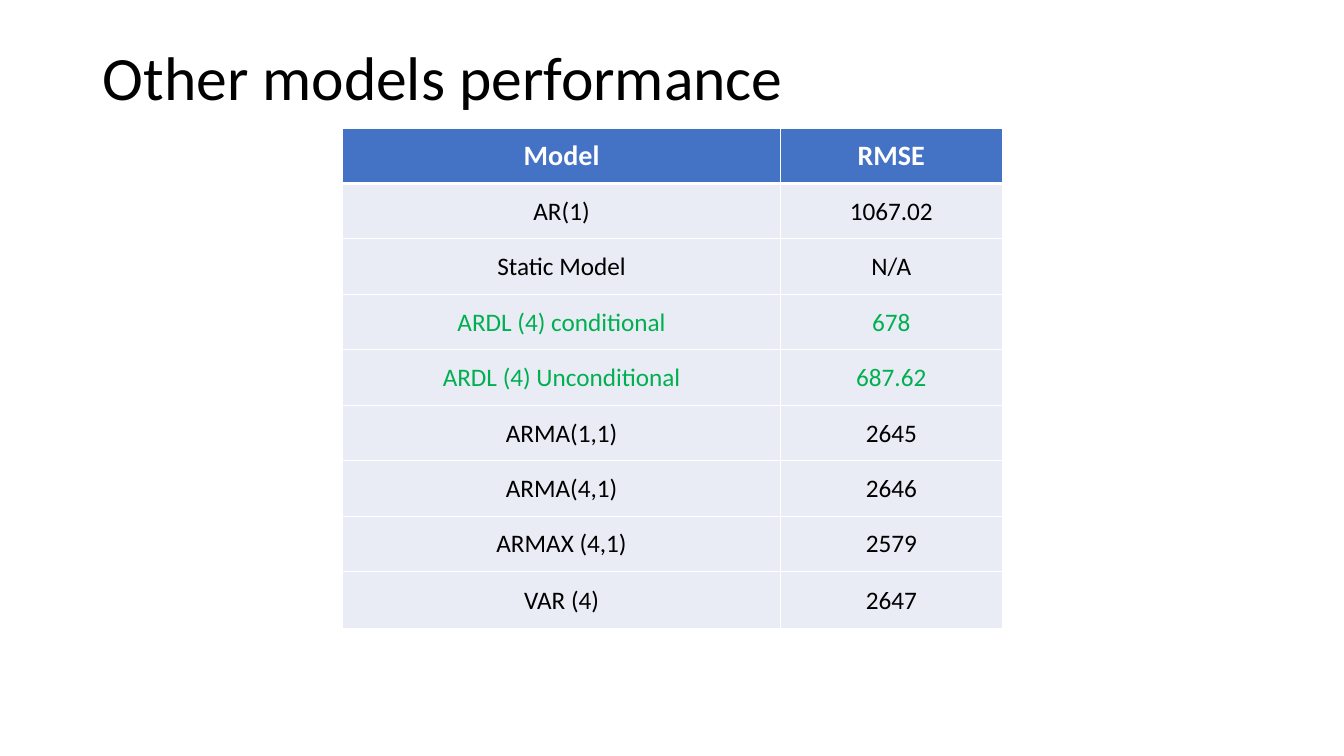
"""Build a slide that compares the RMSE of several time series models."""
from lxml.etree import SubElement
from pptx import Presentation
from pptx.dml.color import RGBColor
from pptx.enum.text import MSO_ANCHOR, PP_ALIGN
from pptx.oxml.ns import qn
from pptx.util import Inches, Pt


def style_font(font, size, color, bold=False):
    font.name = "Calibri"
    font.size = Pt(size)
    font.bold = bold
    font.color.rgb = RGBColor.from_string(color)


def add_border(cell, side, width):
    line = SubElement(cell._tc.get_or_add_tcPr(), qn(f"a:{side}"), w=str(Pt(width)))
    SubElement(SubElement(line, qn("a:solidFill")), qn("a:srgbClr"), val="FFFFFF")


BLACK, GREEN, WHITE = "000000", "00B050", "FFFFFF"
results = [
    ("Model", "RMSE", WHITE),
    ("AR(1)", "1067.02", BLACK),
    ("Static Model", "N/A", BLACK),
    ("ARDL (4) conditional", "678", GREEN),
    ("ARDL (4) Unconditional", "687.62", GREEN),
    ("ARMA(1,1)", "2645", BLACK),
    ("ARMA(4,1)", "2646", BLACK),
    ("ARMAX (4,1)", "2579", BLACK),
    ("VAR (4)", "2647", BLACK),
]

prs = Presentation()
prs.slide_width, prs.slide_height = Inches(13.33), Inches(7.5)
slide = prs.slides.add_slide(prs.slide_layouts[6])

title = slide.shapes.add_textbox(Inches(0.92), Inches(0.4), Inches(11.5), Inches(0.79)).text_frame
title.word_wrap = True
title.vertical_anchor = MSO_ANCHOR.MIDDLE
heading = title.paragraphs[0]
heading.text = "Other models performance"
heading.line_spacing = 0.9
style_font(heading.font, 44, BLACK)

ranking = slide.shapes.add_table(
    len(results), 2, Inches(3.4), Inches(1.27), Inches(6.54), Inches(4.95)
).table
ranking.horz_banding = False
ranking.columns[0].width = Inches(4.34)
ranking.columns[1].width = Inches(2.2)
for row in ranking.rows:
    row.height = Inches(0.55)
ranking.rows[len(results) - 1].height = Inches(0.57)

for row_index, (model, rmse, color) in enumerate(results):
    is_header = row_index == 0
    for column_index, value in enumerate((model, rmse)):
        cell = ranking.cell(row_index, column_index)
        cell.vertical_anchor = MSO_ANCHOR.MIDDLE
        cell.margin_left = cell.margin_right = cell.margin_top = Inches(0.01)
        cell.margin_bottom = 0
        for side in ("lnL", "lnR", "lnT", "lnB"):
            under_header = (is_header and side == "lnB") or (row_index == 1 and side == "lnT")
            add_border(cell, side, 3 if under_header else 1)
        cell.fill.solid()
        cell.fill.fore_color.rgb = RGBColor.from_string("4472C4" if is_header else "E9EBF5")
        entry = cell.text_frame.paragraphs[0]
        entry.text = value
        entry.alignment = PP_ALIGN.CENTER
        style_font(entry.font, 20 if is_header else 18, color, is_header)

prs.save("out.pptx")
